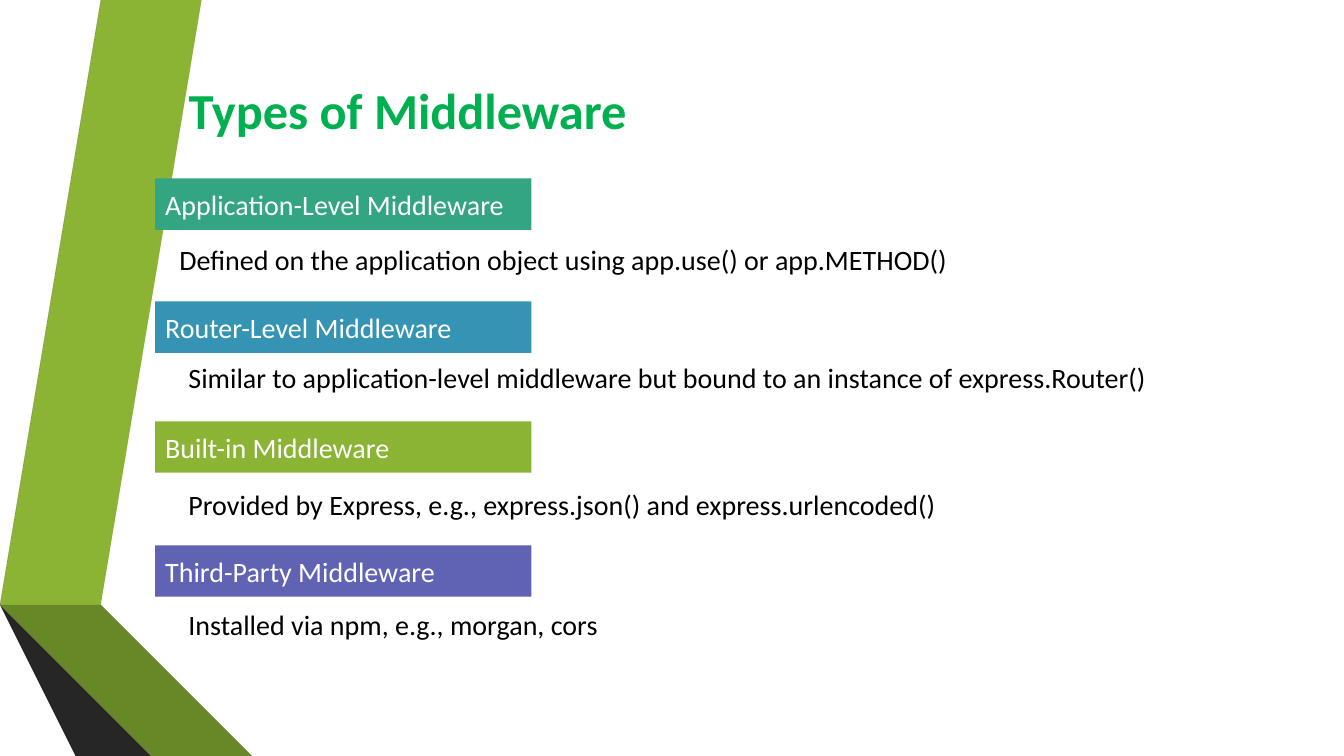
from dataclasses import dataclass

import pptx
import pptx.dml.color
import pptx.enum.shapes
import pptx.enum.text
import pptx.util

Inches = pptx.util.Inches
FONT = "Calibri"
COLORS = {
    "title": "00B050",
    "body": "000000",
    "label": "FFFFFF",
    "teal": "33A583",
    "blue": "3594B4",
    "green": "8BB434",
    "purple": "6063B4",
    "gray": "595959",
    "dark gray": "404040",
    "gray edge": "262626",
    "dark green": "688727",
    "green edge": "465A1A",
}


@dataclass
class Ribbon:
    color: str
    points: list[tuple[float, float]]


@dataclass
class Middleware:
    name: str
    color: str
    bar_top: float
    description: str
    left: float
    top: float
    width: float


RIBBONS = [
    Ribbon("green", [(0.5, 5.78), (0.77, 5.83), (1.73, 0), (1.45, 0)]),
    Ribbon("gray", [(1.39, 0), (1.11, 0), (0.16, 5.73), (0.44, 5.77)]),
    Ribbon("gray edge", [(0.16, 5.73), (1.45, 7.5), (1.51, 7.5)]),
    Ribbon("green edge", [(0.5, 5.79), (2.08, 7.5), (2.14, 7.5)]),
    Ribbon("dark green", [(0.5, 5.78), (2.14, 7.5), (2.83, 7.5), (0.77, 5.83)]),
    Ribbon("dark gray", [(2.02, 7.5), (0.48, 5.83), (0.44, 5.77), (0.16, 5.73), (1.51, 7.5)]),
]

MIDDLEWARE = [
    Middleware("Application-Level Middleware", "teal", 1.77,
               "Defined on the application object using app.use() or app.METHOD()",
               1.68, 2.37, 7.95),
    Middleware("Router-Level Middleware", "blue", 2.99,
               "Similar to application-level middleware but bound to an instance of express.Router()",
               1.77, 3.54, 9.89),
    Middleware("Built-in Middleware", "green", 4.18,
               "Provided by Express, e.g., express.json() and express.urlencoded()",
               1.77, 4.8, 7.85),
    Middleware("Third-Party Middleware", "purple", 5.41,
               "Installed via npm, e.g., morgan, cors",
               1.77, 5.99, 4.43),
]


def rgb(color: str) -> pptx.dml.color.RGBColor:
    return pptx.dml.color.RGBColor.from_string(COLORS[color])


def write_text(shape, text: str, *, color: str, size: float = 20, bold: bool = False) -> None:
    frame = shape.text_frame
    frame.word_wrap = True
    frame.auto_size = pptx.enum.text.MSO_AUTO_SIZE.NONE
    frame.vertical_anchor = pptx.enum.text.MSO_ANCHOR.MIDDLE
    frame.margin_left = frame.margin_right = Inches(0.1)
    frame.margin_top = frame.margin_bottom = Inches(0.05)
    para = frame.paragraphs[0]
    para.alignment = pptx.enum.text.PP_ALIGN.LEFT
    para.line_spacing = 1.0
    span = para.add_run()
    span.text = text
    span.font.name = FONT
    span.font.size = pptx.util.Pt(size)
    span.font.bold = bold
    span.font.color.rgb = rgb(color)


def paint(shape, color: str) -> None:
    shape.shadow.inherit = False
    shape.fill.solid()
    shape.fill.fore_color.rgb = rgb(color)
    shape.line.fill.background()


def draw_ribbon(page, ribbon: Ribbon) -> None:
    start, *rest = ribbon.points
    outline = page.shapes.build_freeform(*start, scale=Inches(1))
    outline.add_line_segments(rest, close=True)
    paint(outline.convert_to_shape(), ribbon.color)


def draw_middleware(page, item: Middleware) -> None:
    bar = page.shapes.add_shape(
        pptx.enum.shapes.MSO_SHAPE.RECTANGLE,
        Inches(1.54), Inches(item.bar_top), Inches(3.73), Inches(0.51))
    paint(bar, item.color)
    write_text(bar, item.name, color="label")
    box = page.shapes.add_textbox(
        Inches(item.left), Inches(item.top), Inches(item.width), Inches(0.41))
    write_text(box, item.description, color="body")


def main() -> None:
    deck = pptx.Presentation()
    deck.slide_width, deck.slide_height = Inches(13.33), Inches(7.5)
    page = deck.slides.add_slide(deck.slide_layouts.get_by_name("Title Only"))

    # Folded ribbons on the left edge
    for ribbon in RIBBONS:
        draw_ribbon(page, ribbon)

    # Title
    title = page.shapes.title
    title.left, title.top = Inches(1.77), Inches(0.77)
    title.width, title.height = Inches(4.69), Inches(0.63)
    write_text(title, "Types of Middleware", color="title", size=36, bold=True)

    # Middleware types with their descriptions
    for item in MIDDLEWARE:
        draw_middleware(page, item)

    deck.save("out.pptx")


if __name__ == "__main__":
    main()
